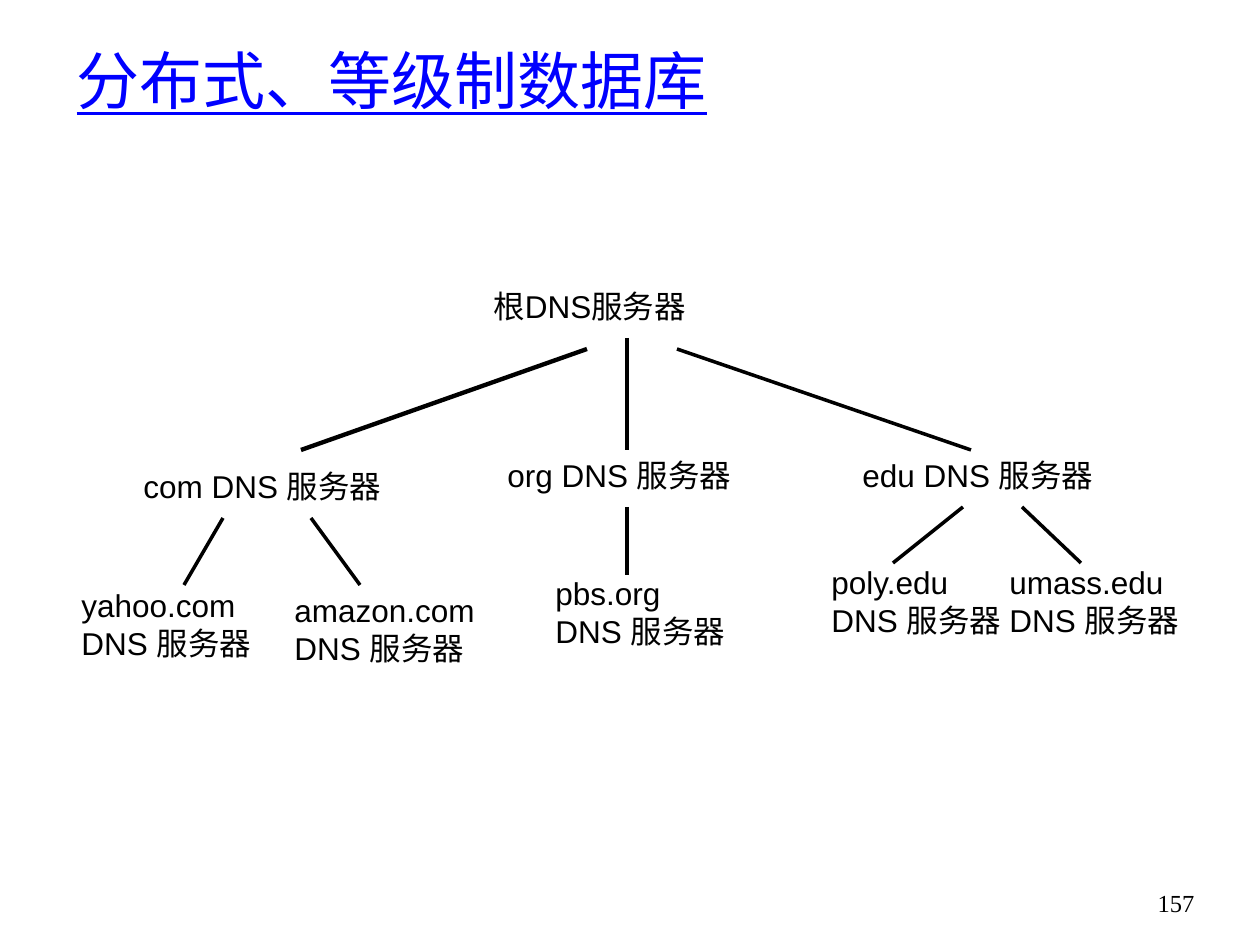
from lxml import etree
from pptx import Presentation
from pptx.dml.color import RGBColor
from pptx.enum.shapes import MSO_CONNECTOR
from pptx.enum.text import MSO_ANCHOR, MSO_AUTO_SIZE, PP_ALIGN
from pptx.oxml.ns import qn
from pptx.util import Emu, Pt

LEFT, RIGHT = PP_ALIGN.LEFT, PP_ALIGN.RIGHT
TOP, MIDDLE = MSO_ANCHOR.TOP, MSO_ANCHOR.MIDDLE
NO_FIT = MSO_AUTO_SIZE.NONE
STRAIGHT = MSO_CONNECTOR.STRAIGHT

SANS, SERIF = "Arial", "Times New Roman"
BLACK, BLUE = "000000", "0000FF"
LINE_HEIGHT, PADDING = 38, 13

TITLE = "分布式、等级制数据库"
PAGE_NUMBER = "157"
SERVER = "DNS 服务器"
SERVERS = [
    ("根DNS服务器", 481, 281, 233),
    ("com " + SERVER, 131, 461, 271),
    ("org " + SERVER, 495, 450, 257),
    ("edu " + SERVER, 850, 450, 263),
    ("yahoo.com\n" + SERVER, 69, 580, 202),
    ("amazon.com\n" + SERVER, 282, 585, 205),
    ("pbs.org\n" + SERVER, 543, 568, 202),
    ("poly.edu\n" + SERVER, 819, 557, 202),
    ("umass.edu\n" + SERVER, 997, 557, 202),
]
BRANCHES = [
    (587, 349, 301, 450, 2.5),
    (627, 338, 627, 450, 2),
    (677, 349, 971, 450, 2),
    (223, 518, 184, 585, 2),
    (311, 518, 360, 585, 2),
    (627, 507, 627, 575, 2),
    (963, 507, 893, 563, 2),
    (1022, 507, 1081, 563, 2),
]


def px(n):
    return Emu(round(n * 914400 / 126))


def rgb(value):
    return RGBColor.from_string(value)


def write(shape, text, font, size, color=BLACK, align=LEFT, anchor=TOP,
          wrap=True, underline=None):
    tf = shape.text_frame
    tf.text = text
    tf.word_wrap = wrap
    tf.auto_size = NO_FIT
    tf.vertical_anchor = anchor
    for p in tf.paragraphs:
        p.alignment = align
        for r in p.runs:
            r.font.name = font
            r.font.size = Pt(size)
            r.font.color.rgb = rgb(color)
            r.font.underline = underline


def add_text(s, text, x, y, w, h, font, size, **style):
    box = s.shapes.add_textbox(px(x), px(y), px(w), px(h))
    write(box, text, font, size, **style)


def add_branch(s, x1, y1, x2, y2, width):
    line = s.shapes.add_connector(STRAIGHT, px(x1), px(y1), px(x2), px(y2))
    line.line.color.rgb = rgb(BLACK)
    line.line.width = Pt(width)
    etree.SubElement(line._element.spPr, qn("a:effectLst"))


prs = Presentation()
prs.slide_width, prs.slide_height = px(1260), px(945)
s = prs.slides.add_slide(prs.slide_layouts[5])

title = s.shapes.title
title.left, title.top, title.width, title.height = px(64), px(0), px(1071), px(158)
write(title, TITLE, SERIF, 36, color=BLUE, anchor=MIDDLE, underline=True)

for text, x, y, w in SERVERS:
    height = PADDING + LINE_HEIGHT * len(text.split("\n"))
    add_text(s, text, x, y, w, height, SANS, 18, wrap=False)

for branch in BRANCHES:
    add_branch(s, *branch)

add_text(s, PAGE_NUMBER, 1144, 882, 63, 63, SERIF, 14, align=RIGHT)

prs.save("out.pptx")
